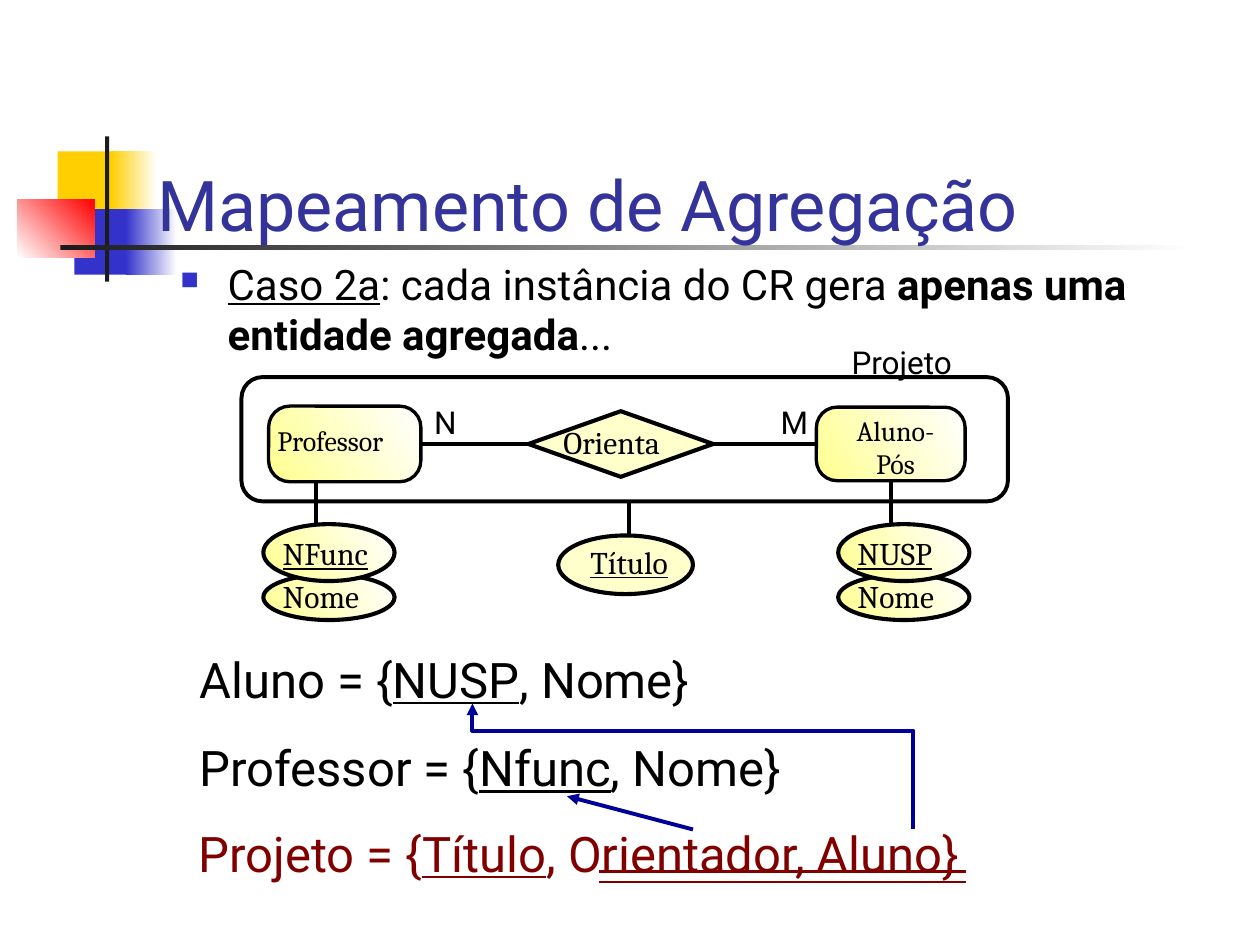
from dataclasses import dataclass

from lxml import etree
from pptx import Presentation
from pptx.dml.color import RGBColor
from pptx.enum.shapes import MSO_CONNECTOR, MSO_SHAPE
from pptx.enum.text import MSO_ANCHOR, MSO_AUTO_SIZE, PP_ALIGN
from pptx.oxml.ns import qn
from pptx.util import Pt

RECTANGLE = MSO_SHAPE.RECTANGLE
ROUNDED = MSO_SHAPE.ROUNDED_RECTANGLE
ELLIPSE = MSO_SHAPE.OVAL
DIAMOND = MSO_SHAPE.DIAMOND
STRAIGHT = MSO_CONNECTOR.STRAIGHT
LEFT, CENTER = PP_ALIGN.LEFT, PP_ALIGN.CENTER
LEFT_SIDE, RIGHT_SIDE = 1, 3


@dataclass(frozen=True)
class Theme:
    sans: str = "Roboto"
    serif: str = "Cambria"
    black: str = "000000"
    white: str = "FFFFFF"
    ink: str = "1C1C1C"
    gold: str = "FFCF01"
    blue: str = "3333CC"
    red: str = "FF0000"
    title: str = "333399"
    cream: str = "FFFFCC"
    yellow: str = "FFFF90"
    maroon: str = "800000"
    navy: str = "000099"
    title_size: int = 40
    schema_size: int = 28
    body_size: int = 24
    label_size: int = 18
    entity_size: int = 16
    line: float = 2.35
    thin: float = 1.9
    frame: float = 2.25


class SlideBuilder:
    def __init__(self, slide, theme):
        self.slide = slide
        self.theme = theme

    def shape(self, kind, box, fill=None, angle=0, line_width=0):
        """Fill is None, one colour, or a pair of gradient colours."""
        shape = self.slide.shapes.add_shape(kind, *map(Pt, box))
        shape.shadow.inherit = False
        if fill is None:
            shape.fill.background()
        elif isinstance(fill, str):
            shape.fill.solid()
            shape.fill.fore_color.rgb = RGBColor.from_string(fill)
        else:
            shape.fill.gradient()
            shape.fill.gradient_angle = angle
            for stop, color, position in zip(shape.fill.gradient_stops, fill, (0, 1)):
                stop.color.rgb = RGBColor.from_string(color)
                stop.position = position
        if line_width:
            self.outline(shape, self.theme.black, line_width)
        else:
            shape.line.fill.background()
        return shape

    def outline(self, shape, color, width, arrow=False):
        shape.line.color.rgb = RGBColor.from_string(color)
        shape.line.width = Pt(width)
        if arrow:
            line = shape.element.spPr.find(qn("a:ln"))
            etree.SubElement(line, qn("a:tailEnd"), type="triangle")

    def connector(self, start, end, color, width, arrow=False):
        connector = self.slide.shapes.add_connector(
            STRAIGHT, *map(Pt, (*start, *end)))
        self.outline(connector, color, width, arrow)
        etree.SubElement(connector.element.spPr, qn("a:effectLst"))
        return connector

    def join(self, first, second):
        connector = self.connector((0, 0), (0, 0), self.theme.black, self.theme.line)
        connector.begin_connect(first, RIGHT_SIDE)
        connector.end_connect(second, LEFT_SIDE)

    def polyline_arrow(self, points, color, width):
        first, *rest = [(Pt(x), Pt(y)) for x, y in points]
        builder = self.slide.shapes.build_freeform(*first)
        builder.add_line_segments(rest, close=False)
        shape = builder.convert_to_shape()
        shape.shadow.inherit = False
        shape.fill.background()
        self.outline(shape, color, width, arrow=True)

    def runs(self, paragraph, pieces, font, size, color):
        """Pieces are (text, style) pairs; style holds u and b letters."""
        for text, style in pieces:
            run = paragraph.add_run()
            run.text = text
            run.font.name = font
            run.font.size = Pt(size)
            run.font.color.rgb = RGBColor.from_string(color)
            run.font.underline = "u" in style
            run.font.bold = "b" in style

    def insets(self, frame, horizontal, vertical):
        frame.margin_left = frame.margin_right = Pt(horizontal)
        frame.margin_top = frame.margin_bottom = Pt(vertical)

    def text(self, box, paragraphs, font, size, color=None, align=LEFT,
             padded=False, wrap=True, spacing=None, grow=True):
        frame = self.slide.shapes.add_textbox(*map(Pt, box)).text_frame
        frame.word_wrap = wrap
        frame.auto_size = (MSO_AUTO_SIZE.SHAPE_TO_FIT_TEXT if grow
                           else MSO_AUTO_SIZE.NONE)
        self.insets(frame, *((7.2, 3.6) if padded else (0, 0)))
        for index, pieces in enumerate(paragraphs):
            paragraph = frame.add_paragraph() if index else frame.paragraphs[0]
            paragraph.alignment = align
            paragraph.line_spacing = spacing
            self.runs(paragraph, pieces, font, size, color or self.theme.black)
        return frame

    def label(self, box, text, style="", size=None, align=LEFT):
        self.text(box, [[(text, style)]], self.theme.serif,
                  size or self.theme.label_size, align=align)

    def tag(self, box, text):
        self.text(box, [[(text, "")]], self.theme.sans, self.theme.label_size,
                  padded=True, wrap=False)

    def title(self, box, text):
        title = self.slide.shapes.title
        title.left, title.top, title.width, title.height = map(Pt, box)
        frame = title.text_frame
        frame.text = text
        frame.vertical_anchor = MSO_ANCHOR.BOTTOM
        frame.auto_size = MSO_AUTO_SIZE.NONE
        self.insets(frame, 0, 0)
        paragraph = frame.paragraphs[0]
        paragraph.alignment = LEFT
        font = paragraph.runs[0].font
        font.name, font.size = self.theme.sans, Pt(self.theme.title_size)
        font.color.rgb = RGBColor.from_string(self.theme.title)
        # Bring the title in front of the decoration
        title.element.getparent().append(title.element)

    def bullet(self, paragraph, indent, color):
        properties = paragraph._p.get_or_add_pPr()
        properties.set("marL", str(Pt(indent)))
        properties.set("indent", str(-Pt(indent)))
        bullet_color = etree.SubElement(properties, qn("a:buClr"))
        etree.SubElement(bullet_color, qn("a:srgbClr"), val=color)
        etree.SubElement(properties, qn("a:buSzPct"), val="60000")
        etree.SubElement(properties, qn("a:buChar"), char="■")


def main():
    theme = Theme()
    presentation = Presentation()
    presentation.slide_width, presentation.slide_height = Pt(720), Pt(540)
    slide = presentation.slides.add_slide(presentation.slide_layouts[5])
    builder = SlideBuilder(slide, theme)

    # Corner decoration and title rule
    for box, fill, angle in (
        ((33, 86.5, 34.5, 37.5), theme.gold, 0),
        ((63.5, 86.5, 26, 37.5), (theme.gold, theme.white), 0),
        ((42.5, 119.5, 33, 37.5), theme.blue, 0),
        ((72, 119.5, 29, 37.5), (theme.blue, theme.white), 0),
        ((10, 114, 44, 33), (theme.white, theme.red), 45),
        ((60, 78, 2.4, 83), theme.ink, 0),
        ((34.5, 140.2, 648, 2.4), (theme.ink, theme.white), 0),
    ):
        builder.shape(RECTANGLE, box, fill, angle)

    # Title and opening statement
    builder.title((90, 92, 608, 48.4), "Mapeamento de Agregação")
    body = builder.text((96, 144, 612, 324), [[
        ("Caso 2a", "u"), (": cada instância do CR gera ", ""),
        ("apenas uma entidade agregada", "b"), ("...", "")]],
        theme.sans, theme.body_size, padded=True, grow=False)
    builder.bullet(body.paragraphs[0], 27, theme.blue)

    # Attribute of the aggregation
    builder.connector((359.3, 286.5), (359.3, 320), theme.black, theme.frame)
    builder.shape(ELLIPSE, (319, 306, 77, 33.5), theme.cream, line_width=theme.line)
    builder.label((330.5, 310.3, 58, 22), "Título", "u", align=CENTER)

    # Entities and relationship, centred on one axis
    axis = 253.7
    shade = (theme.yellow, theme.white)
    nodes = []
    for kind, left, width, height, fill, line_width in (
        (ROUNDED, 153.5, 87, 43.2, shade, theme.thin),
        (DIAMOND, 302, 105.5, 37.5, theme.cream, theme.line),
        (ROUNDED, 466.5, 85, 42, shade, theme.thin),
    ):
        node = builder.shape(kind, (left, axis - height / 2, width, height),
                             fill, 30, line_width)
        if kind == ROUNDED:
            node.adjustments[0] = 0.28
        nodes.append(node)
    professor, orienta, aluno = nodes
    builder.join(professor, orienta)
    builder.join(orienta, aluno)
    builder.label((158.5, 242, 97, 19.5), "Professor", size=theme.entity_size)
    builder.label((322, 242, 86, 22), "Orienta")
    builder.label((476.7, 236.2, 70, 38.5), "Aluno- Pós",
                  size=theme.entity_size, align=CENTER)
    builder.tag((439, 227, 30, 29), "M")
    builder.tag((241, 227, 28, 29), "N")

    # Aggregation frame
    frame = builder.shape(ROUNDED, (138, 215.5, 438, 71), line_width=theme.frame)
    frame.adjustments[0] = 0.17
    builder.tag((479.5, 192.2, 75.5, 29), "Projeto")

    # Attributes below each entity
    for left, key in ((150.5, "NFunc"), (479, "NUSP")):
        builder.connector((left + 30.2, 275), (left + 30.2, 304),
                          theme.black, theme.line)
        for text, style, top, height, text_top in (
            ("Nome", "", 328.3, 26, 329.8), (key, "u", 299.5, 32.5, 305.3),
        ):
            builder.shape(ELLIPSE, (left, top, 75, height), shade, 30, theme.line)
            builder.label((left + 11, text_top, 63, 22), text, style)

    # Resulting relations
    builder.text((114, 354.2, 546, 101), [
        [("Aluno = {", ""), ("NUSP", "u"), (", Nome}", "")],
        [("Professor = {", ""), ("Nfunc", "u"), (", Nome}", "")],
    ], theme.sans, theme.schema_size, spacing=1.5)
    builder.text((106.5, 450, 487, 57.6), [
        [("Projeto = {", ""), ("Título", "u"), (", Orientador, Aluno}", "")],
    ], theme.sans, theme.schema_size, theme.maroon,
        padded=True, wrap=False, spacing=1.5)
    for y in (498, 504):
        builder.connector((342, y), (552, y), theme.maroon, 1.5)

    # Foreign key arrows
    builder.connector((396, 474), (324, 455), theme.navy, theme.frame, arrow=True)
    builder.polyline_arrow([(522, 474), (522, 417.5), (270, 417.5), (270, 402)],
                           theme.navy, theme.frame)

    presentation.save("out.pptx")


if __name__ == "__main__":
    main()
